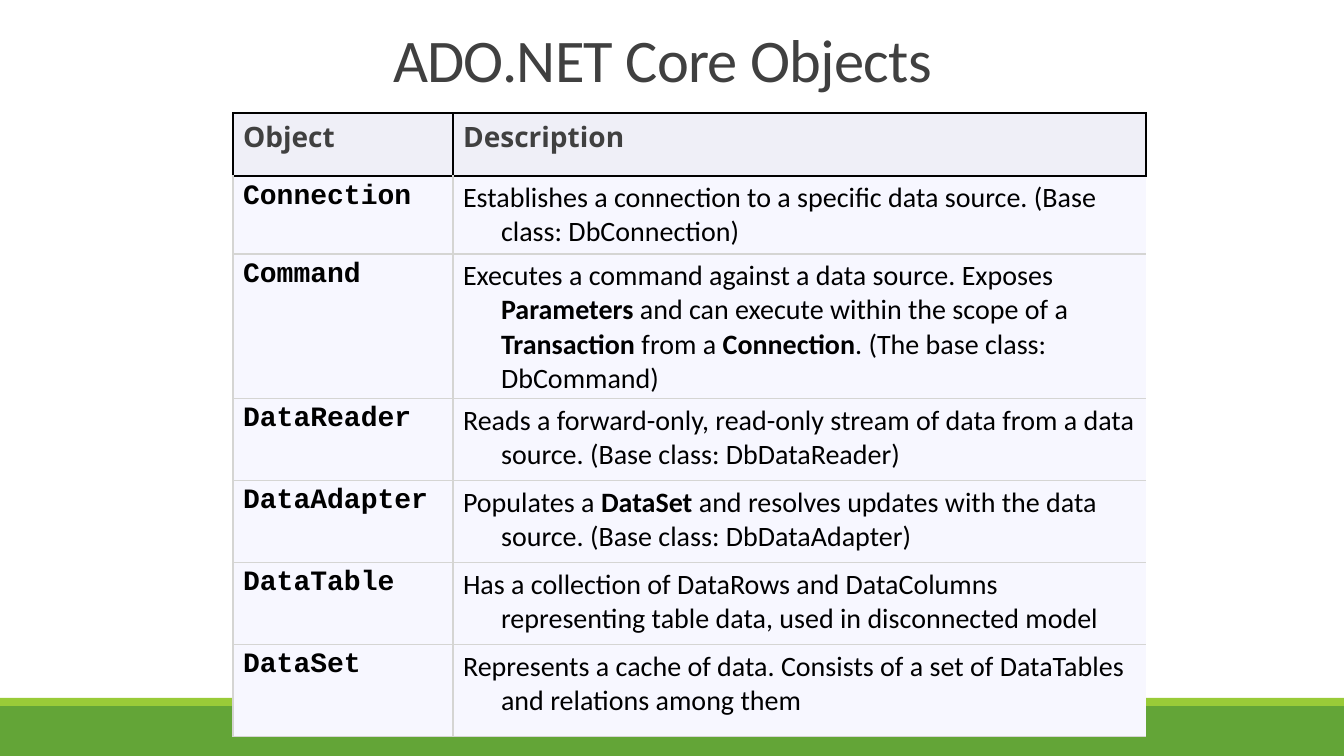
"""Build the slide that lists the core data objects in a table."""
from dataclasses import dataclass

from lxml.etree import SubElement
from pptx import Presentation
from pptx.dml.color import RGBColor as Color
from pptx.enum.shapes import MSO_SHAPE as Shape
from pptx.enum.text import MSO_ANCHOR as Anchor, PP_ALIGN as Align
from pptx.oxml.ns import qn
from pptx.util import Emu, Pt

SCALE = 12192000 / 1344
WIDE, HIGH = 1344, 756
GREEN = Color(0x63, 0xA5, 0x37)
LIME = Color(0x99, 0xCB, 0x38)
DARK = Color(0x40, 0x40, 0x40)
BLACK = Color(0, 0, 0)
GRAY = Color(0xD5, 0xD5, 0xD3)
HEAD = Color(0xEF, 0xEF, 0xF7)
PALE = Color(0xF7, 0xF7, 0xFF)
SANS, MONO, OPEN = "Calibri", "Courier New", "Open Sans"


@dataclass
class Band:
    top: int
    tall: int
    fill: Color


@dataclass
class Row:
    tall: int
    name: str
    text: str


BANDS = [Band(706, 50, GREEN), Band(698, 8, LIME)]
COLS = [220, 693]
ROWS = [
    Row(63, "Object", "*Description*"),
    Row(78, "Connection", "Establishes a connection to a specific data source. "
        "(Base class: DbConnection)"),
    Row(144, "Command", "Executes a command against a data source. Exposes "
        "*Parameters *and can execute within the scope of a *Transaction *from a "
        "*Connection*. (The base class: DbCommand)"),
    Row(82, "DataReader", "Reads a forward-only, read-only stream of data from "
        "a data source. (Base class: DbDataReader)"),
    Row(82, "DataAdapter", "Populates a *DataSet* and resolves updates with the "
        "data source. (Base class: DbDataAdapter)"),
    Row(82, "DataTable", "Has a collection of DataRows and DataColumns "
        "representing table data, used in disconnected model"),
    Row(92, "DataSet", "Represents a cache of data. Consists of a set of "
        "DataTables and relations among them"),
]


def px(size: int) -> Emu:
    return Emu(round(size * SCALE))


def style(run, font: str, size: float, color: Color, bold: bool = False) -> None:
    face = run.font
    face.name, face.size, face.bold = font, Pt(size), bold
    face.color.rgb = color


def draw_band(slide, band: Band) -> None:
    box = slide.shapes.add_shape(Shape.RECTANGLE, 0, px(band.top), px(WIDE), px(band.tall))
    box.shadow.inherit = False
    box.fill.solid()
    box.fill.fore_color.rgb = band.fill
    box.line.fill.background()


def draw_title(slide, text: str) -> None:
    frame = slide.shapes.add_textbox(px(233), px(21), px(859), px(79)).text_frame
    frame.word_wrap = True
    frame.vertical_anchor = Anchor.BOTTOM
    frame.text = text
    para = frame.paragraphs[0]
    para.alignment, para.line_spacing = Align.CENTER, 0.85
    run = para.runs[0]
    style(run, SANS, 43.2, DARK)
    run.font._element.set("spc", "-50")


def add_edge(cell, side: str, color: Color | None) -> None:
    line = SubElement(cell._tc.get_or_add_tcPr(), qn(f"a:ln{side}"), w=str(Pt(1)))
    if color is None:
        SubElement(line, qn("a:noFill"))
    else:
        fill = SubElement(line, qn("a:solidFill"))
        SubElement(fill, qn("a:srgbClr"), val=str(color))


def fill_cell(cell, text: str, font: str, color: Color) -> None:
    para = cell.text_frame.paragraphs[0]
    props = para._p.get_or_add_pPr()
    props.set("marL", str(px(38)))
    props.set("indent", str(-px(38)))
    for turn, part in enumerate(text.split("*")):
        if part:
            run = para.add_run()
            run.text = part
            style(run, font, 20, color, turn % 2 == 1)


def draw_table(slide) -> None:
    tall = sum(row.tall for row in ROWS)
    table = slide.shapes.add_table(
        len(ROWS), len(COLS), px(233), px(113), px(sum(COLS)), px(tall)).table
    table.first_row = table.horz_banding = False
    for col, wide in zip(table.columns, COLS):
        col.width = px(wide)
    for y, row in enumerate(ROWS):
        table.rows[y].height = px(row.tall)
        top = y == 0
        edge = BLACK if top else GRAY
        fonts = (OPEN, OPEN) if top else (MONO, SANS)
        for x, text in enumerate((f"*{row.name}*", row.text)):
            cell = table.cell(y, x)
            add_edge(cell, "L", edge)
            add_edge(cell, "R", None if x and not top else edge)
            add_edge(cell, "T", BLACK if y < 2 else GRAY)
            add_edge(cell, "B", edge)
            cell.fill.solid()
            cell.fill.fore_color.rgb = HEAD if top else PALE
            fill_cell(cell, text, fonts[x], DARK if top else BLACK)


def main() -> None:
    deck = Presentation()
    deck.slide_width, deck.slide_height = px(WIDE), px(HIGH)
    slide = deck.slides.add_slide(deck.slide_layouts[6])
    for band in BANDS:
        draw_band(slide, band)
    draw_title(slide, "ADO.NET Core Objects")
    draw_table(slide)
    deck.save("out.pptx")


main()
